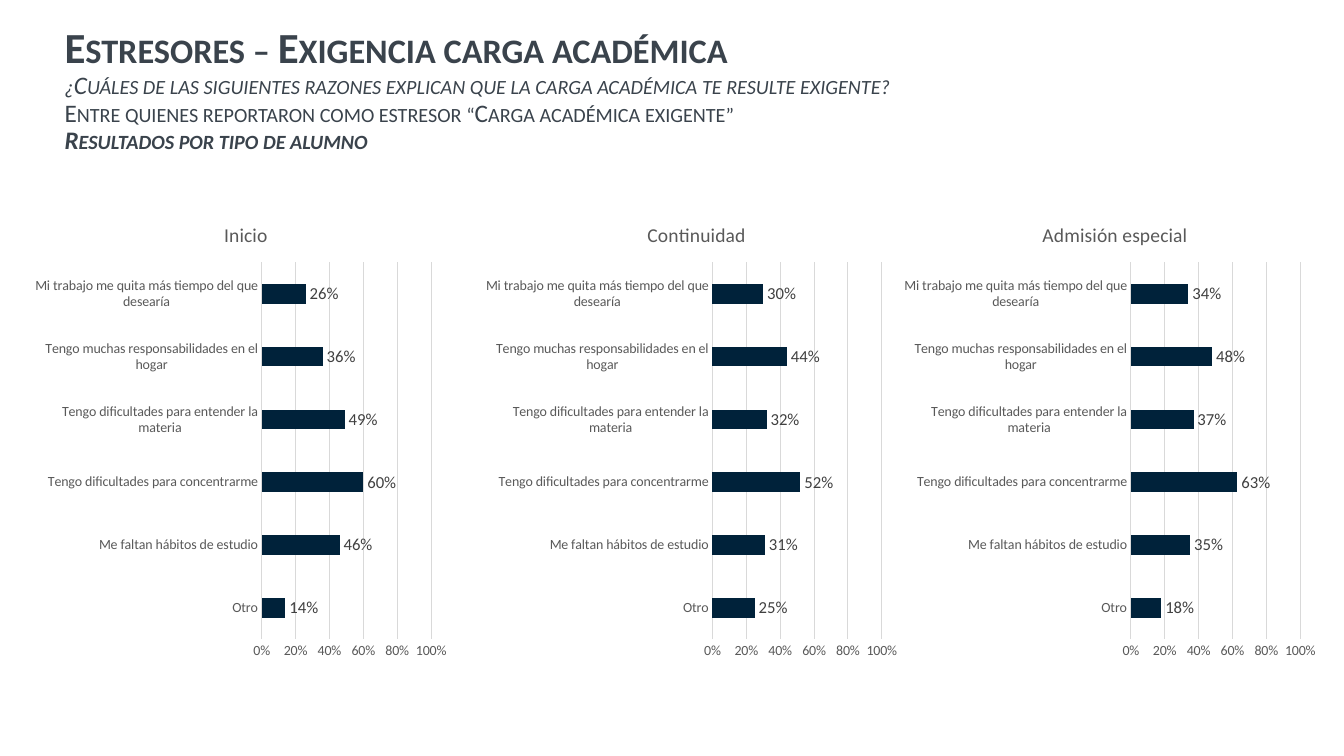
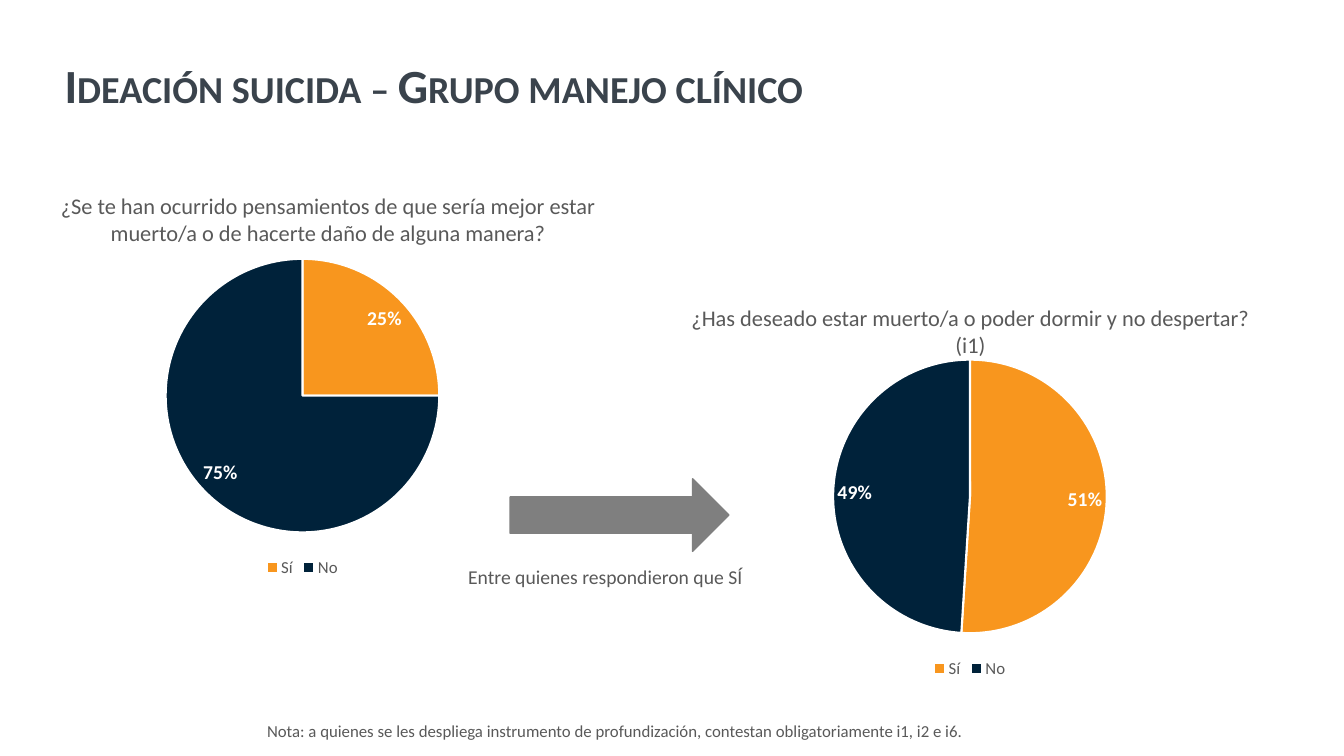
"""Build two survey slides: academic load stressors and clinical group screening."""
import copy
from dataclasses import dataclass

import pptx
import pptx.chart.data
import pptx.dml.color
import pptx.enum.chart
import pptx.enum.shapes
import pptx.enum.text
import pptx.util
from pptx.util import Inches

FONT = "Calibri"
TITLE_COLOR = "3A434C"
TEXT_COLOR = "595959"
LABEL_COLOR = "404040"
GRID_COLOR = "D9D9D9"
ARROW_COLOR = "7F7F7F"
NAVY = "00223A"
ORANGE = "F8961E"
WHITE = "FFFFFF"
REASONS = (
    "Otro",
    "Me faltan hábitos de estudio",
    "Tengo dificultades para concentrarme",
    "Tengo dificultades para entender la materia",
    "Tengo muchas responsabilidades en el hogar",
    "Mi trabajo me quita más tiempo del que desearía",
)


@dataclass(frozen=True)
class TitleLine:
    text: str
    size: float
    bold: bool = True
    italic: bool = False


@dataclass(frozen=True)
class BarPanel:
    title: str
    left: float
    values: tuple[float, ...]


@dataclass(frozen=True)
class PiePanel:
    left: float
    top: float
    values: tuple[float, ...]


@dataclass(frozen=True)
class Caption:
    text: str
    left: float
    top: float
    width: float
    height: float
    size: int
    centered: bool = True


LOAD_TITLE = (
    TitleLine("Estresores – Exigencia carga académica", 30.6),
    TitleLine("¿Cuáles de las siguientes razones explican que la carga académica "
              "te resulte exigente?", 18, bold=False, italic=True),
    TitleLine("Entre quienes reportaron como estresor “Carga académica exigente”",
              18, bold=False),
    TitleLine("Resultados por tipo de alumno", 18, italic=True),
)
CLINICAL_TITLE = (TitleLine("Ideación suicida – Grupo manejo clínico", 34),)
BAR_PANELS = (
    BarPanel("Inicio", 0.35, (0.14, 0.46, 0.60, 0.49, 0.36, 0.26)),
    BarPanel("Continuidad", 4.82, (0.25, 0.31, 0.52, 0.32, 0.44, 0.30)),
    BarPanel("Admisión especial", 8.97, (0.18, 0.35, 0.63, 0.37, 0.48, 0.34)),
)
PIE_PANELS = (
    PiePanel(0, 2.43, (0.25, 0.75)),
    PiePanel(6.62, 3.43, (0.51, 0.49)),
)
CAPTIONS = (
    Caption("¿Se te han ocurrido pensamientos de que sería mejor estar muerto/a "
            "o de hacerte daño de alguna manera?", 0.22, 1.86, 6.07, 0.64, 16),
    Caption("¿Has deseado estar muerto/a o poder dormir y no despertar? (i1)",
            6.59, 2.97, 6.07, 0.37, 16),
    Caption("Entre quienes respondieron que SÍ", 2.97, 5.56, 6.07, 0.34, 14),
    Caption("Nota: a quienes se les despliega instrumento de profundización, "
            "contestan obligatoriamente i1, i2 e i6.",
            2.55, 7.1, 7.38, 0.3, 12, centered=False),
)


def rgb(color: str) -> pptx.dml.color.RGBColor:
    return pptx.dml.color.RGBColor.from_string(color)


def style_font(font, size: float, color: str, bold: bool = False,
               italic: bool = False) -> None:
    font.name = FONT
    font.size = pptx.util.Pt(size)
    font.bold = bold
    font.italic = italic
    font.color.rgb = rgb(color)


def style_line(line, color: str, width: float) -> None:
    line.color.rgb = rgb(color)
    line.width = pptx.util.Pt(width)


def add_page(deck, lines: tuple[TitleLine, ...], top: float, bottom_inset: float):
    page = deck.slides.add_slide(deck.slide_layouts[5])
    title = page.shapes.title
    title.left, title.top = Inches(0.54), Inches(top)
    title.width, title.height = Inches(12.73), Inches(0.94)
    frame = title.text_frame
    frame.auto_size = pptx.enum.text.MSO_AUTO_SIZE.NONE
    frame.word_wrap = True
    frame.vertical_anchor = pptx.enum.text.MSO_ANCHOR.MIDDLE
    frame.margin_bottom = Inches(bottom_inset)
    para = frame.paragraphs[0]
    para.alignment = pptx.enum.text.PP_ALIGN.LEFT
    para.line_spacing = 0.9
    para.space_before = pptx.util.Pt(0)
    for index, line in enumerate(lines):
        span = para.add_run()
        span.text = line.text
        style_font(span.font, line.size, TITLE_COLOR, line.bold, line.italic)
        properties = span._r.get_or_add_rPr()
        properties.set("cap", "small")
        if index < len(lines) - 1:
            para.add_line_break()
            para._p[-1].insert(0, copy.deepcopy(properties))
    return page


def add_chart(page, kind, categories: tuple[str, ...], values: tuple[float, ...],
              left: float, top: float, width: float, height: float):
    data = pptx.chart.data.CategoryChartData(number_format="0%")
    data.categories = categories
    data.add_series("Series 1", values)
    chart = page.shapes.add_chart(kind, Inches(left), Inches(top), Inches(width),
                                  Inches(height), data).chart
    style_font(chart.font, 10, TEXT_COLOR)
    chart.has_title = False
    chart.has_legend = False
    return chart


def add_labels(plot, size: float, color: str, bold: bool, position) -> None:
    plot.has_data_labels = True
    labels = plot.data_labels
    labels.show_value = True
    labels.show_percentage = False
    labels.number_format = "0%"
    labels.number_format_is_linked = False
    labels.position = position
    style_font(labels.font, size, color, bold)


def add_bar_panel(page, panel: BarPanel) -> None:
    chart = add_chart(page, pptx.enum.chart.XL_CHART_TYPE.BAR_CLUSTERED, REASONS,
                      panel.values, panel.left, 2.01, 4.16, 4.62)
    chart.has_title = True
    span = chart.chart_title.text_frame.paragraphs[0].add_run()
    span.text = panel.title
    style_font(span.font, 14, TEXT_COLOR)

    plot = chart.plots[0]
    plot.gap_width = 219
    plot.vary_by_categories = False
    fill = plot.series[0].format.fill
    fill.solid()
    fill.fore_color.rgb = rgb(NAVY)
    add_labels(plot, 12, LABEL_COLOR, False,
               pptx.enum.chart.XL_LABEL_POSITION.OUTSIDE_END)

    for axis in (chart.category_axis, chart.value_axis):
        axis.major_tick_mark = pptx.enum.chart.XL_TICK_MARK.NONE
        axis.minor_tick_mark = pptx.enum.chart.XL_TICK_MARK.NONE
        style_font(axis.tick_labels.font, 10, TEXT_COLOR)
    style_line(chart.category_axis.format.line, GRID_COLOR, 0.75)
    scale = chart.value_axis
    scale.minimum_scale, scale.maximum_scale, scale.major_unit = 0, 1, 0.2
    scale.tick_labels.number_format = "0%"
    scale.tick_labels.number_format_is_linked = False
    scale.format.line.fill.background()
    scale.has_major_gridlines = True
    style_line(scale.major_gridlines.format.line, GRID_COLOR, 0.75)


def add_pie_panel(page, panel: PiePanel) -> None:
    chart = add_chart(page, pptx.enum.chart.XL_CHART_TYPE.PIE, ("Sí", "No"),
                      panel.values, panel.left, panel.top, 6, 3.34)
    chart.has_legend = True
    chart.legend.position = pptx.enum.chart.XL_LEGEND_POSITION.BOTTOM
    chart.legend.include_in_layout = False
    style_font(chart.legend.font, 12, TEXT_COLOR)
    plot = chart.plots[0]
    plot.vary_by_categories = True
    for index, color in enumerate((ORANGE, NAVY)):
        wedge = plot.series[0].points[index].format
        wedge.fill.solid()
        wedge.fill.fore_color.rgb = rgb(color)
        style_line(wedge.line, WHITE, 1.5)
    add_labels(plot, 14, WHITE, True, pptx.enum.chart.XL_LABEL_POSITION.BEST_FIT)


def add_caption(page, caption: Caption) -> None:
    box = page.shapes.add_textbox(Inches(caption.left), Inches(caption.top),
                                  Inches(caption.width), Inches(caption.height))
    frame = box.text_frame
    frame.word_wrap = True
    frame.auto_size = pptx.enum.text.MSO_AUTO_SIZE.SHAPE_TO_FIT_TEXT
    para = frame.paragraphs[0]
    if caption.centered:
        para.alignment = pptx.enum.text.PP_ALIGN.CENTER
    span = para.add_run()
    span.text = caption.text
    style_font(span.font, caption.size, TEXT_COLOR)


def add_arrow(page) -> None:
    arrow = page.shapes.add_shape(pptx.enum.shapes.MSO_SHAPE.RIGHT_ARROW,
                                  Inches(5.06), Inches(4.75),
                                  Inches(2.17), Inches(0.72))
    arrow.shadow.inherit = False
    arrow.fill.solid()
    arrow.fill.fore_color.rgb = rgb(ARROW_COLOR)
    style_line(arrow.line, ARROW_COLOR, 1)


def main() -> None:
    deck = pptx.Presentation()
    deck.slide_width, deck.slide_height = Inches(13.33), Inches(7.5)

    load_page = add_page(deck, LOAD_TITLE, 0.62, 0.43)
    for panel in BAR_PANELS:
        add_bar_panel(load_page, panel)

    clinical_page = add_page(deck, CLINICAL_TITLE, 0.4, 0.05)
    for panel in PIE_PANELS:
        add_pie_panel(clinical_page, panel)
    add_arrow(clinical_page)
    for caption in CAPTIONS:
        add_caption(clinical_page, caption)

    deck.save("out.pptx")


if __name__ == "__main__":
    main()
